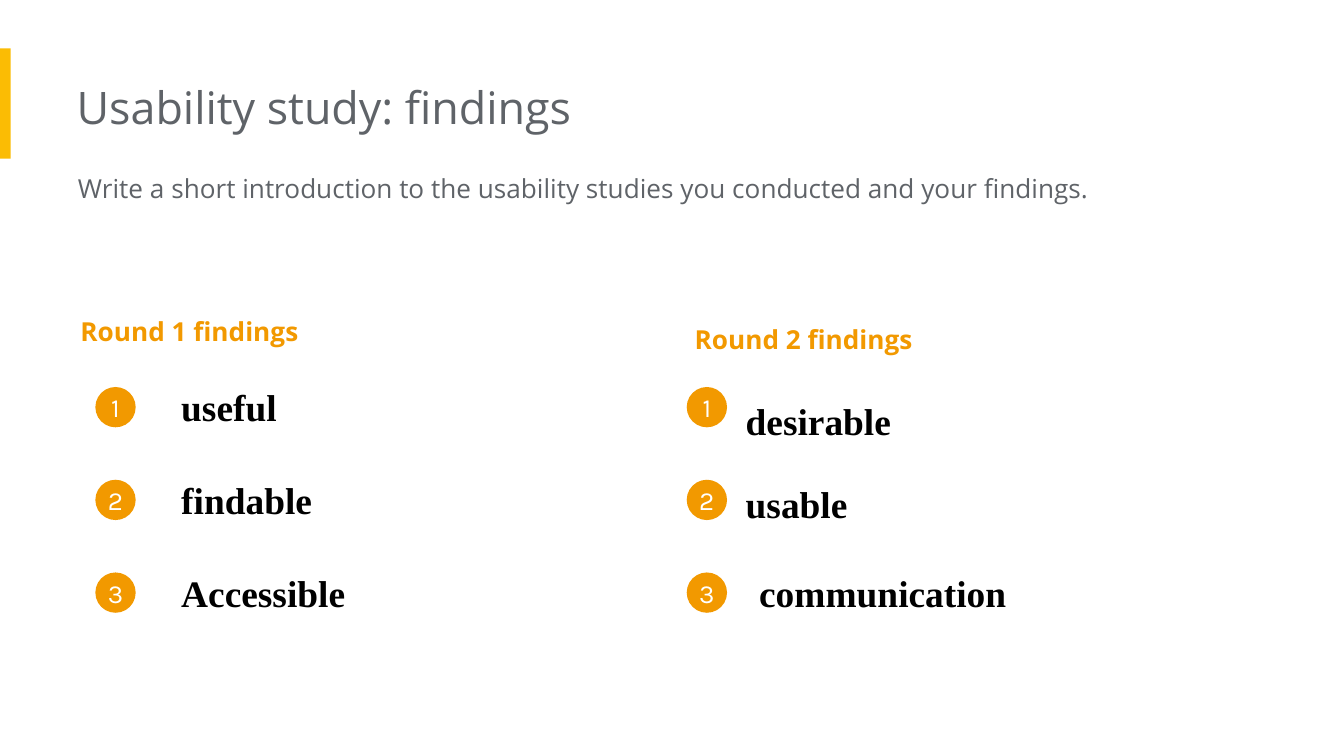
from dataclasses import dataclass

from pptx import Presentation
from pptx import util as u
from pptx.dml.color import RGBColor
from pptx.enum import shapes, text

COLORS = {"bar": "FBBC04", "accent": "F29900", "grey": "5F6368",
          "black": "000000", "white": "FFFFFF"}
WIDTH = u.Inches(10)
HEIGHT = u.Emu(WIDTH * 9 // 16)
COL, ROW = WIDTH / 100, HEIGHT / 56.25
BADGE_SIZE, BADGE_TOP, BADGE_STEP = 3, 28.8, 6.9


@dataclass
class Box:
    col: float
    row: float
    cols: float
    rows: float

    def emu(self) -> tuple[int, ...]:
        return (round(self.col * COL), round(self.row * ROW),
                round(self.cols * COL), round(self.rows * ROW))


@dataclass
class Finding:
    label: str
    box: Box
    spacing: float = 1.0
    pad: float = 0.05
    wrap: bool = True


@dataclass
class Round:
    heading: str
    box: Box
    badge_col: float
    findings: list[Finding]


ROUNDS = [
    Round("Round 1 findings", Box(5, 22.1, 36.5, 4.4), 7.1, [
        Finding("useful", Box(12.5, 28.1, 9.1, 4.4), wrap=False),
        Finding("findable", Box(12.5, 35, 11.9, 4.4)),
        Finding("Accessible", Box(12.5, 41.9, 15.9, 4.4)),
    ]),
    Round("Round 2 findings", Box(50.7, 22.7, 36.5, 4.4), 51.1, [
        Finding("desirable", Box(54.5, 28.1, 36.5, 5.9), 1.15, 0.1),
        Finding("usable", Box(54.5, 34.3, 36.5, 5.9), 1.15, 0.1),
        Finding("communication", Box(55.5, 41.9, 21.5, 4.4)),
    ]),
]


def write(sp, content: str, *, size: float, color: str, font: str = "Open Sans",
          bold: bool = False, spacing: float = 1.0, left: float = 0.1,
          right: float = 0.1, pad: float = 0.1, wrap: bool = True,
          align=text.PP_ALIGN.LEFT, anchor=text.MSO_ANCHOR.TOP,
          fit=text.MSO_AUTO_SIZE.SHAPE_TO_FIT_TEXT) -> None:
    tf = sp.text_frame
    tf.word_wrap, tf.auto_size, tf.vertical_anchor = wrap, fit, anchor
    tf.margin_left, tf.margin_right = u.Inches(left), u.Inches(right)
    tf.margin_top = tf.margin_bottom = u.Inches(pad)
    p = tf.paragraphs[0]
    p.alignment, p.line_spacing = align, spacing
    r = p.add_run()
    r.text = content
    r.font.name, r.font.size, r.font.bold = font, u.Pt(size), bold
    r.font.color.rgb = RGBColor.from_string(COLORS[color])


def add_text(s, content: str, box: Box, **style) -> None:
    write(s.shapes.add_textbox(*box.emu()), content, **style)


def add_filled(s, kind, box: Box, color: str):
    sp = s.shapes.add_shape(kind, *box.emu())
    sp.shadow.inherit = False
    sp.fill.solid()
    sp.fill.fore_color.rgb = RGBColor.from_string(COLORS[color])
    sp.line.fill.background()
    return sp


def add_badge(s, number: int, col: float) -> None:
    top = BADGE_TOP + (number - 1) * BADGE_STEP
    sp = add_filled(s, shapes.MSO_SHAPE.OVAL,
                    Box(col, top, BADGE_SIZE, BADGE_SIZE), "accent")
    write(sp, str(number), size=14, color="white", font="Karla",
          left=0, right=0, pad=0, align=text.PP_ALIGN.CENTER,
          anchor=text.MSO_ANCHOR.MIDDLE, fit=text.MSO_AUTO_SIZE.NONE)


def add_round(s, rnd: Round) -> None:
    add_text(s, rnd.heading, rnd.box, size=14, color="accent", bold=True,
             spacing=1.15)
    for number, item in enumerate(rnd.findings, 1):
        add_badge(s, number, rnd.badge_col)
        add_text(s, item.label, item.box, size=20, color="black", bold=True,
                 font="Times New Roman", spacing=item.spacing, pad=item.pad,
                 wrap=item.wrap)


def main() -> None:
    prs = Presentation()
    prs.slide_width, prs.slide_height = WIDTH, HEIGHT
    s = prs.slides.add_slide(prs.slide_layouts[5])
    add_filled(s, shapes.MSO_SHAPE.RECTANGLE, Box(0, 3.6, 0.8, 8.2), "bar")
    title = s.shapes.title
    title.left, title.top, title.width, title.height = Box(5.7, 4.9, 67.3, 6.1).emu()
    write(title, "Usability study: findings", size=24, color="grey", left=0)
    add_text(s, "Write a short introduction to the usability studies you "
                "conducted and your findings.",
             Box(5.8, 11.5, 86.1, 7.1), size=14, color="grey", left=0, spacing=1.15)
    for rnd in ROUNDS:
        add_round(s, rnd)
    prs.save("out.pptx")


if __name__ == "__main__":
    main()
